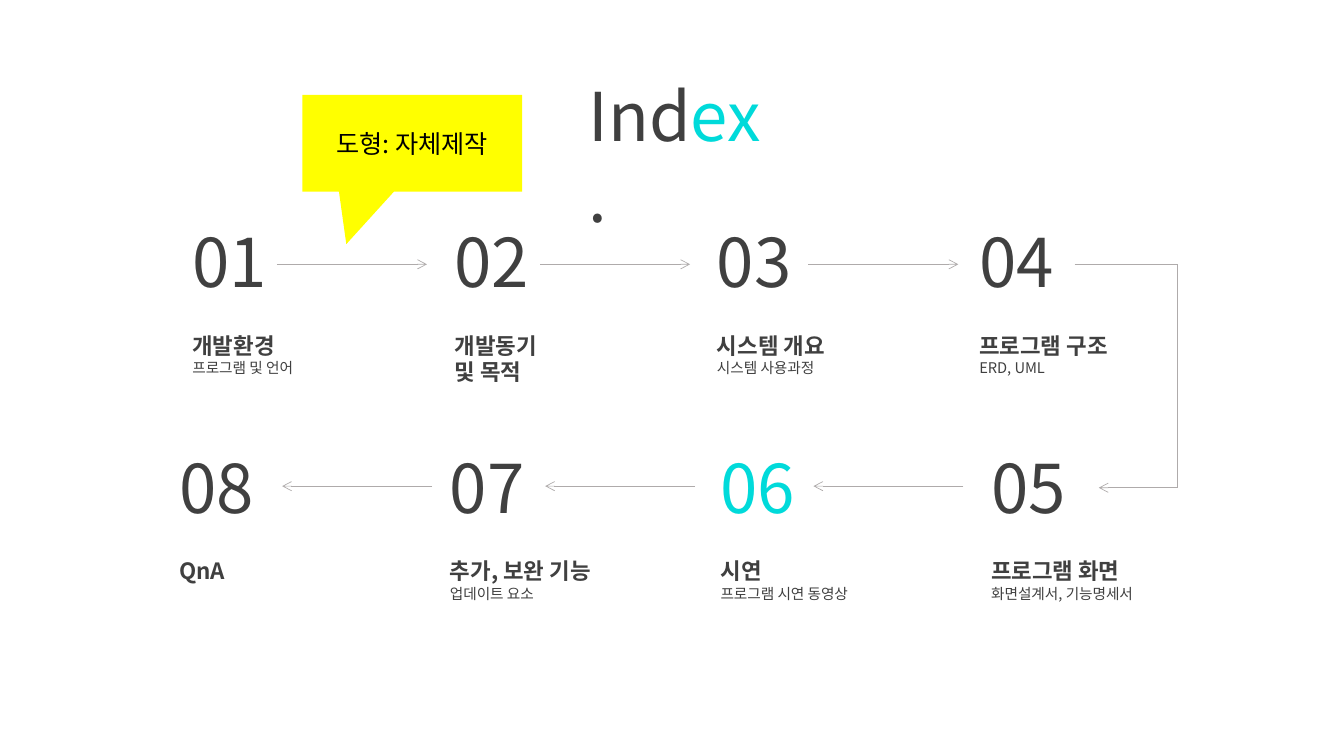
"""Build the index slide: eight numbered sections joined by arrows."""
from lxml import etree
from pptx import Presentation
from pptx.dml.color import RGBColor
from pptx.enum.shapes import MSO_CONNECTOR, MSO_SHAPE
from pptx.enum.text import MSO_ANCHOR, MSO_AUTO_SIZE, PP_ALIGN
from pptx.oxml.ns import qn
from pptx.util import Cm, Pt

FONT = "Noto Sans CJK KR"
DARK = RGBColor(0x40, 0x40, 0x40)
CYAN = RGBColor(0x00, 0xDA, 0xDA)
GREY = RGBColor(0xAF, 0xAB, 0xAB)
YELLOW = RGBColor(0xFF, 0xFF, 0x00)
BLACK = RGBColor(0x00, 0x00, 0x00)

NUMBER = {"size": Pt(48), "bold": False}
HEADING = {"size": Pt(16), "bold": True}
DETAIL = {"size": Pt(10.5), "bold": False}


def add_run(p, text, color, fmt):
    r = p.add_run()
    r.text = text
    for name, value in {"name": FONT, **fmt}.items():
        setattr(r.font, name, value)
    r.font.color.rgb = color
    etree.SubElement(r.font._element, qn("a:ea"), typeface=FONT)


def add_line(s, x1, y1, x2, y2, arrow):
    line = s.shapes.add_connector(
        MSO_CONNECTOR.STRAIGHT, Cm(x1), Cm(y1), Cm(x2), Cm(y2))
    line.line.color.rgb = GREY
    line.line.width = Pt(0.5)
    if arrow:
        etree.SubElement(line.line._get_or_add_ln(), qn("a:tailEnd"), type="arrow")
    etree.SubElement(line._element.spPr, qn("a:effectLst"))


prs = Presentation()
prs.slide_width, prs.slide_height = Cm(33.87), Cm(19.05)
s = prs.slides.add_slide(prs.slide_layouts[5])

title = s.shapes.title
title.left, title.top, title.width, title.height = Cm(14.58), Cm(1.75), Cm(5.08), Cm(2.31)
tf = title.text_frame
tf.word_wrap = True
tf.auto_size = MSO_AUTO_SIZE.NONE
tf.vertical_anchor = MSO_ANCHOR.TOP
p = tf.paragraphs[0]
p.alignment = PP_ALIGN.LEFT
for text, color in [("Ind", DARK), ("ex", CYAN), (".", DARK)]:
    add_run(p, text, color, NUMBER)

rows = [
    (4.6, 5.44, 6.61, [
        ("01", DARK, [("개발환경", HEADING), ("프로그램 및 언어", DETAIL)]),
        ("02", DARK, [("개발동기", HEADING), ("및 목적", HEADING)]),
        ("03", DARK, [("시스템 개요", HEADING), ("시스템 사용과정", DETAIL)]),
        ("04", DARK, [("프로그램 구조", HEADING), ("ERD, UML", DETAIL)]),
    ]),
    (4.27, 11.13, 6.82, [
        ("08", DARK, [("QnA", HEADING)]),
        ("07", DARK, [("추가, 보완 기능", HEADING), ("업데이트 요소", DETAIL)]),
        ("06", CYAN, [("시연", HEADING), ("프로그램 시연 동영상", DETAIL)]),
        ("05", DARK, [("프로그램 화면", HEADING), ("화면설계서, 기능명세서", DETAIL)]),
    ]),
]
for left, top, step, sections in rows:
    for i, (number, color, lines) in enumerate(sections):
        sp = s.shapes.add_textbox(Cm(left + i * step), Cm(top), Cm(4.85), Cm(4.45))
        tf = sp.text_frame
        tf.word_wrap = True
        add_run(tf.paragraphs[0], number, color, NUMBER)
        for j, (text, fmt) in enumerate(lines):
            p = tf.add_paragraph()
            if j == 0:
                p.space_before = Pt(21.6)
            add_run(p, text, DARK, fmt)

for x in (6.98, 13.61, 20.37):
    add_line(s, x, 6.66, x + 3.78, 6.66, True)
    add_line(s, x + 3.91, 12.25, x + 0.13, 12.25, True)
add_line(s, 27.08, 6.66, 29.67, 6.66, False)
add_line(s, 29.67, 6.66, 29.67, 12.29, False)
add_line(s, 29.67, 12.29, 27.69, 12.29, True)

callout = s.shapes.add_shape(
    MSO_SHAPE.RECTANGULAR_CALLOUT, Cm(7.62), Cm(2.39), Cm(5.54), Cm(2.44))
callout.adjustments[0], callout.adjustments[1] = -0.3, 1.042
callout.shadow.inherit = False
callout.fill.solid()
callout.fill.fore_color.rgb = YELLOW
callout.line.fill.background()
tf = callout.text_frame
tf.vertical_anchor = MSO_ANCHOR.MIDDLE
p = tf.paragraphs[0]
p.alignment = PP_ALIGN.CENTER
add_run(p, "도형: 자체제작", BLACK, {"size": Pt(18)})

prs.save("out.pptx")
